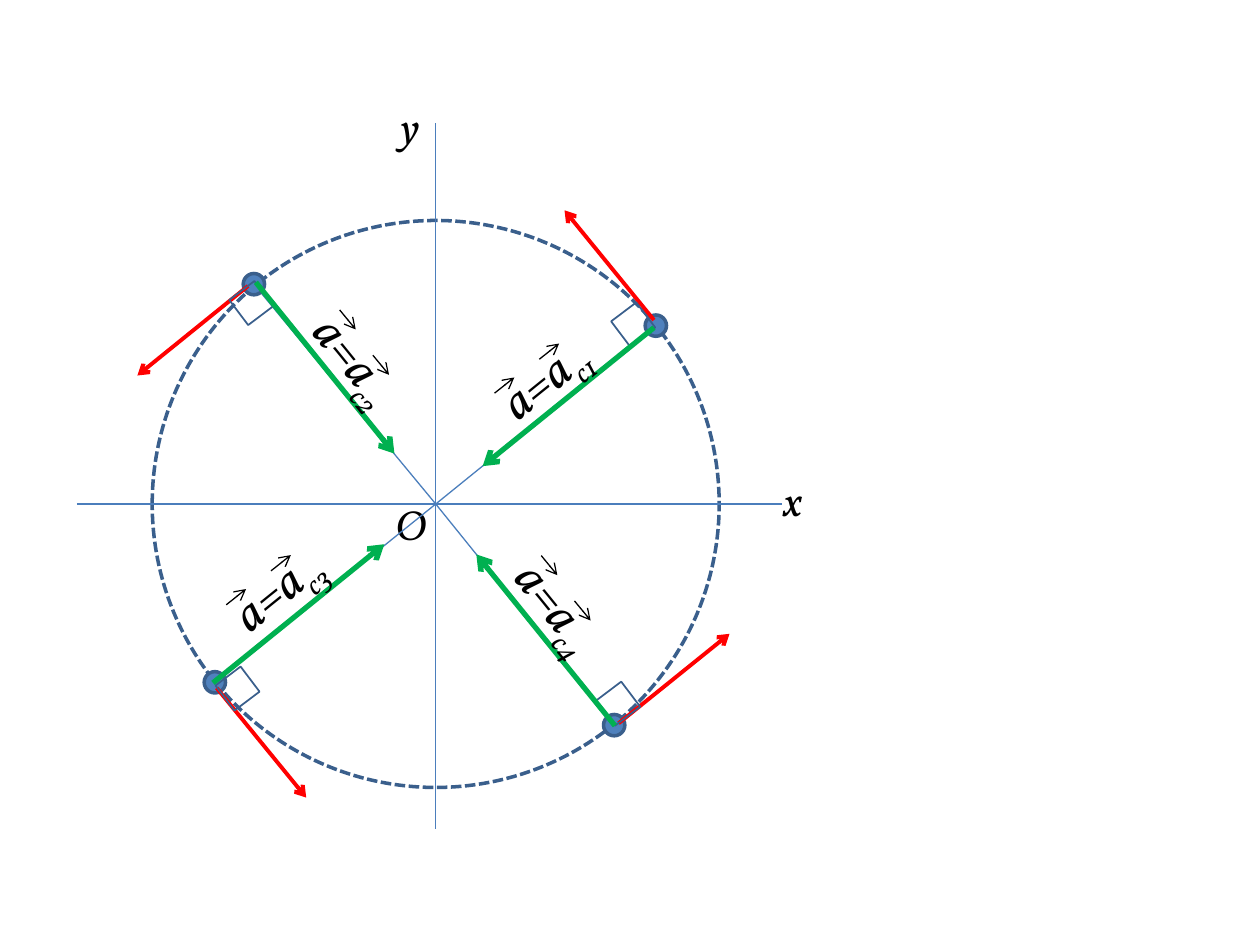
"""Draw centripetal acceleration at four points of a uniform circular motion."""
from lxml import etree
from pptx import Presentation
from pptx.dml.color import RGBColor
from pptx.enum import dml, shapes, text
from pptx.oxml.ns import qn
from pptx.util import Pt

FONT = "Vollkorn"
BLACK, EDGE, BLUE, AXIS, RED, GREEN = "000000", "3A5F8C", "4F81BD", "4B7EBC", "FF0000", "00B050"
CENTRE, RADIUS = (249, 288), 162
AXES = [((44, 288), (447, 288)), ((249, 70.5), (249, 474))]
AXIS_LABELS = [("x", 440.6, 267.8, 27.4), ("y", 221.8, 54, 27.4), ("O", 218.9, 281.5, 33.1)]
PARTICLES = [
    {"ball": (374.8, 186.1), "velocity": ((373.7, 182.9), (322.6, 120.2)),
     "acceleration": ((373.7, 187.2), (275.8, 266.4)), "corner": (361.8, 185.4),
     "index": "c1", "label": (312.8, 213.5), "tilt": 321},
    {"ball": (145.1, 162.4), "velocity": ((141.8, 163.4), (78.5, 214.6)),
     "acceleration": ((146.2, 161.3), (225.4, 259.2)), "corner": (143.6, 173.2),
     "index": "c2", "label": (205.6, 207), "tilt": 51},
    {"ball": (122.8, 389.9), "velocity": ((123.8, 393.1), (175, 455.8)),
     "acceleration": ((121.7, 390.2), (219.6, 311)), "corner": (135.7, 393.5),
     "index": "c3", "label": (159.5, 334.4), "tilt": 321},
    {"ball": (351, 414.4), "velocity": ((353.5, 413.3), (416.9, 362.2)),
     "acceleration": ((351.4, 414.7), (272.2, 316.8)), "corner": (353.2, 402.1),
     "index": "c4", "label": (320.8, 347.4), "tilt": 51},
]
VECTOR_MARKS = {321: {"starts": [(-30.2, 11.2), (-4.6, -8.2)], "step": (11.3, -9)},
                51: {"starts": [(-11.5, -29.9), (7.5, -4)], "step": (9.2, 11.2)}}


def colour(value):
    return RGBColor.from_string(value)


def add_line(group, start, end, value, width, arrow=False):
    line = group.add_connector(shapes.MSO_CONNECTOR.STRAIGHT, *map(Pt, (*start, *end)))
    line.line.color.rgb = colour(value)
    line.line.width = Pt(width)
    if arrow:
        etree.SubElement(line.line._get_or_add_ln(), qn("a:tailEnd"), type="arrow")
    etree.SubElement(line._element.spPr, qn("a:effectLst"))


def add_outline(group, kind, centre, size, width, fill=None, rotation=0):
    left, top = (value - size / 2 for value in centre)
    shape = group.add_shape(kind, *map(Pt, (left, top, size, size)))
    shape.shadow.inherit = False
    shape.rotation = rotation
    shape.line.color.rgb = colour(EDGE)
    shape.line.width = Pt(width)
    if fill:
        shape.fill.solid()
        shape.fill.fore_color.rgb = colour(fill)
    else:
        shape.fill.background()
    return shape


def add_text(group, place, words, size, subscript="", rotation=0):
    box = group.add_textbox(*map(Pt, place))
    box.rotation = rotation
    box.text_frame.word_wrap = False
    box.text_frame.auto_size = text.MSO_AUTO_SIZE.SHAPE_TO_FIT_TEXT
    para = box.text_frame.paragraphs[0]
    for part in filter(None, (words, subscript)):
        span = para.add_run()
        span.text = part
        span.font.name = FONT
        span.font.size = Pt(size)
        span.font.italic = True
        span.font.color.rgb = colour(BLACK)
        if part == subscript:
            span.font._element.set("baseline", "-25000")


def add_label(group, particle):
    x, y = particle["label"]
    width, height = 74, 41
    add_text(group, (x - width / 2, y - height / 2, width, height), "a=a", 28,
             particle["index"], particle["tilt"])
    marks = VECTOR_MARKS[particle["tilt"]]
    dx, dy = marks["step"]
    for across, down in marks["starts"]:
        start = x + across, y + down
        add_line(group, start, (start[0] + dx, start[1] + dy), BLACK, 0.75, arrow=True)


def main():
    deck = Presentation()
    deck.slide_width, deck.slide_height = Pt(720), Pt(540)
    page = deck.slides.add_slide(deck.slide_layouts[6])
    group = page.shapes.add_group_shape().shapes

    orbit = add_outline(group, shapes.MSO_SHAPE.OVAL, CENTRE, 2 * RADIUS, 2)
    orbit.line.dash_style = dml.MSO_LINE.SQUARE_DOT
    for start, end in AXES:
        add_line(group, start, end, AXIS, 0.75)
    for words, left, top, width in AXIS_LABELS:
        add_text(group, (left, top, width, 36), words, 24)

    for particle in PARTICLES:
        add_line(group, particle["ball"], CENTRE, AXIS, 0.75)
        add_outline(group, shapes.MSO_SHAPE.OVAL, particle["ball"], 12.2, 2, BLUE)
        add_line(group, *particle["velocity"], RED, 2.25, arrow=True)
        add_outline(group, shapes.MSO_SHAPE.RECTANGLE, particle["corner"], 18, 1, rotation=53)
        add_line(group, *particle["acceleration"], GREEN, 3, arrow=True)
        add_label(group, particle)

    deck.save("out.pptx")


if __name__ == "__main__":
    main()
